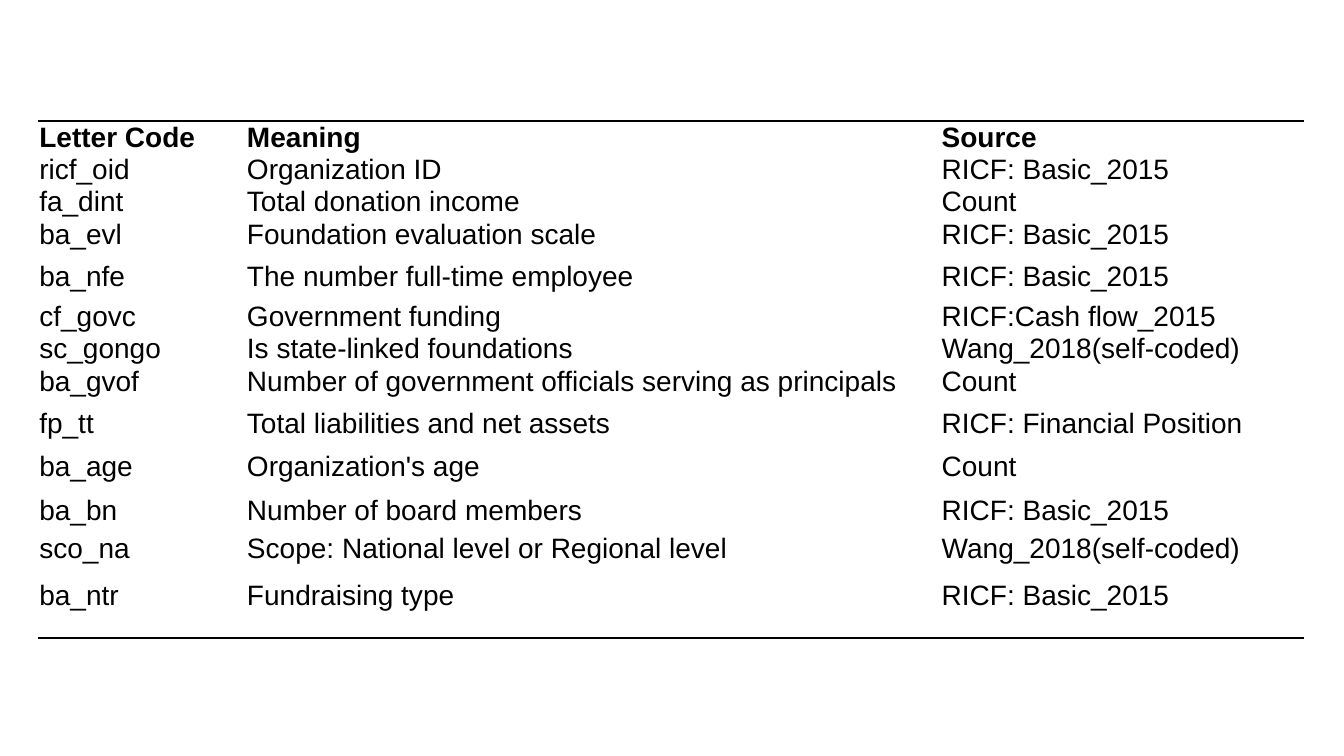
from dataclasses import dataclass

from lxml.etree import SubElement
from pptx import Presentation
from pptx.dml.color import RGBColor as Rgb
from pptx.enum.text import MSO_VERTICAL_ANCHOR as Anchor, PP_PARAGRAPH_ALIGNMENT as Align
from pptx.oxml.ns import qn
from pptx.util import Pt

EMU_PER_PX = 9144
PLAIN_TABLE_STYLE = "{2D5ABB26-0587-4C30-8999-92F81FD0307C}"


@dataclass(frozen=True)
class Theme:
    font: str = "Arial"
    ink: str = "000000"
    body_size: int = 20
    rule_width: int = 1


VARIABLES = [
    ("Letter Code", "Meaning", "Source"),
    ("ricf_oid", "Organization ID", "RICF: Basic_2015"),
    ("fa_dint", "Total donation income", "Count"),
    ("ba_evl", "Foundation evaluation scale", "RICF: Basic_2015"),
    ("ba_nfe", "The number full-time employee", "RICF: Basic_2015"),
    ("cf_govc", "Government funding", "RICF:Cash flow_2015"),
    ("sc_gongo", "Is state-linked foundations", "Wang_2018(self-coded)"),
    ("ba_gvof", "Number of government officials serving as principals", "Count"),
    ("fp_tt", "Total liabilities and net assets", "RICF: Financial Position"),
    ("ba_age", "Organization's age", "Count"),
    ("ba_bn", "Number of board members", "RICF: Basic_2015"),
    ("sco_na", "Scope: National level or Regional level", "Wang_2018(self-coded)"),
    ("ba_ntr", "Fundraising type", "RICF: Basic_2015"),
]
COLUMN_WIDTHS = [206, 689, 360]
ROW_HEIGHTS = [30, 30, 30, 42, 40, 30, 30, 42, 43, 43, 38, 47, 58]


def px(length):
    return length * EMU_PER_PX


class SlideBuilder:
    def __init__(self, presentation, theme):
        self.theme = theme
        self.slide = presentation.slides.add_slide(presentation.slide_layouts[6])

    def table(self, left, top, rows, widths, heights):
        frame = self.slide.shapes.add_table(
            len(rows), len(widths), px(left), px(top), px(sum(widths)), px(sum(heights))
        )
        table = frame.table
        table.first_row = table.horz_banding = False
        table._tbl.tblPr.find(qn("a:tableStyleId")).text = PLAIN_TABLE_STYLE
        for column, width in zip(table.columns, widths):
            column.width = px(width)
        for row, height in zip(table.rows, heights):
            row.height = px(height)
        last = len(rows) - 1
        for index, texts in enumerate(rows):
            for cell, text in zip(table.rows[index].cells, texts):
                self.cell(cell, text, bold=index == 0)
                if index in (0, last):
                    self.rule(cell, "a:lnT" if index == 0 else "a:lnB")

    def cell(self, cell, text, bold):
        layout = {
            "margin_left": px(1),
            "margin_right": px(1),
            "margin_top": px(1),
            "margin_bottom": 0,
            "vertical_anchor": Anchor.TOP,
        }
        for name, value in layout.items():
            setattr(cell, name, value)
        cell.fill.background()
        paragraph = cell.text_frame.paragraphs[0]
        paragraph.alignment = Align.LEFT
        run = paragraph.add_run()
        run.text = text
        style = {"name": self.theme.font, "size": Pt(self.theme.body_size), "bold": bold}
        for name, value in style.items():
            setattr(run.font, name, value)
        run.font.color.rgb = Rgb.from_string(self.theme.ink)

    def rule(self, cell, side):
        properties = cell._tc.get_or_add_tcPr()
        line = SubElement(properties, qn(side), w=str(Pt(self.theme.rule_width)))
        properties.insert(0, line)
        fill = SubElement(line, qn("a:solidFill"))
        SubElement(fill, qn("a:srgbClr"), val=self.theme.ink)


def main():
    presentation = Presentation()
    presentation.slide_width = px(1333)
    presentation.slide_height = px(750)
    builder = SlideBuilder(presentation, Theme())
    builder.table(38, 120, VARIABLES, COLUMN_WIDTHS, ROW_HEIGHTS)
    presentation.save("out.pptx")


if __name__ == "__main__":
    main()
